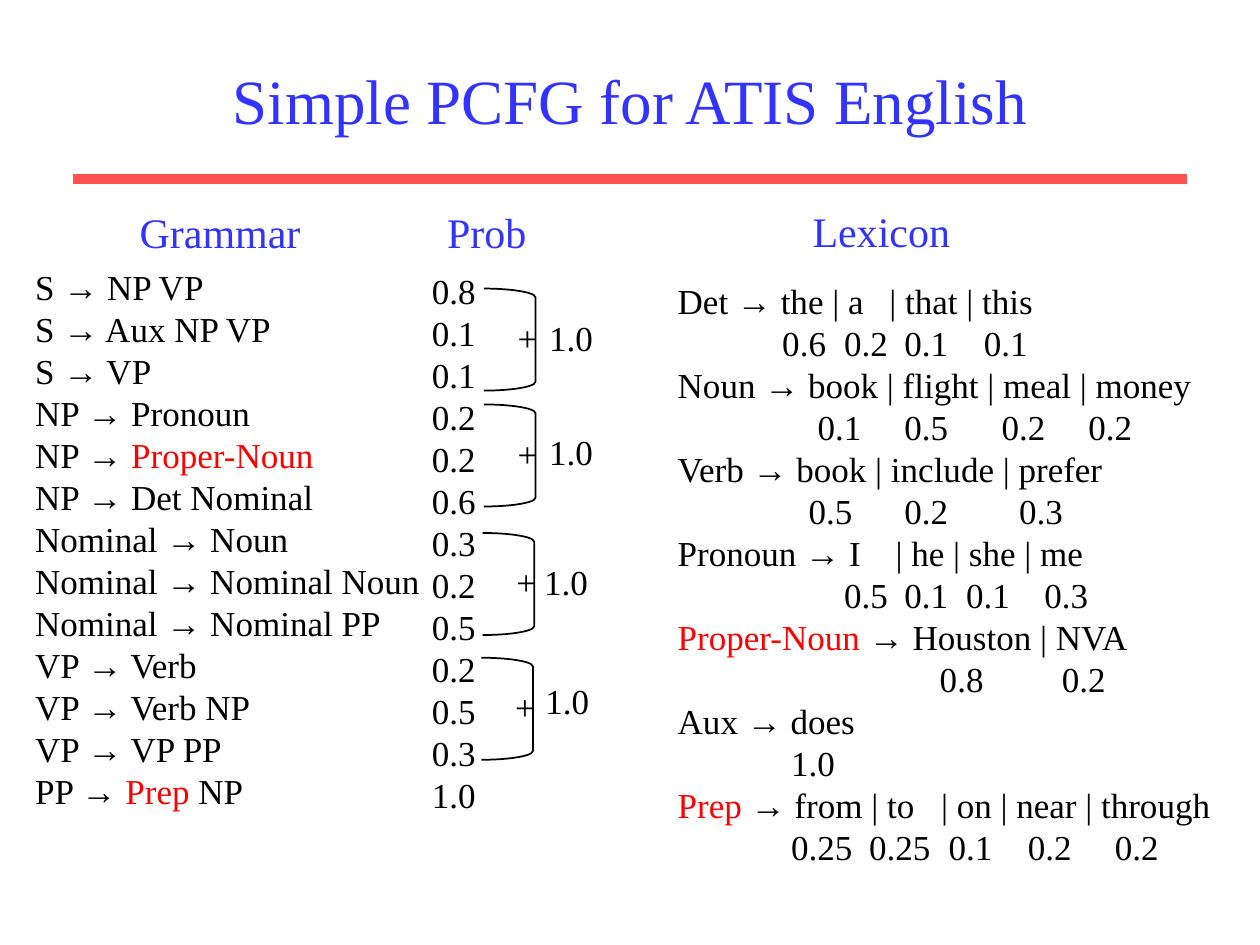
from lxml import etree
from pptx import Presentation, util as u
from pptx.dml.color import RGBColor
from pptx.enum import shapes, text
from pptx.oxml.ns import qn

BLUE = RGBColor(0x33, 0x33, 0xFF)
RED = RGBColor(0xFF, 0, 0)
CORAL = RGBColor(0xFF, 0x50, 0x50)
BLACK = RGBColor(0, 0, 0)
FONT = "Times New Roman"
WIDE, HIGH = 10, 7.5

# Each rule has its probability; red words stand between asterisks.
GRAMMAR = [
    ("S → NP VP", "0.8"),
    ("S → Aux NP VP", "0.1"),
    ("S → VP", "0.1"),
    ("NP → Pronoun", "0.2"),
    ("NP → *Proper-Noun*", "0.2"),
    ("NP → Det Nominal", "0.6"),
    ("Nominal → Noun", "0.3"),
    ("Nominal → Nominal Noun", "0.2"),
    ("Nominal → Nominal PP", "0.5"),
    ("VP → Verb", "0.2"),
    ("VP → Verb NP", "0.5"),
    ("VP → VP PP", "0.3"),
    ("PP → *Prep* NP", "1.0"),
]

# Each entry: rule, its tab stops, then the weight at each stop.
LEXICON = [
    ("Det → the | a\t| that | this", [1.68],
     {0.83: "0.6", 1.32: "0.2", 1.8: "0.1", 2.43: "0.1"}),
    ("Noun → book | flight | meal | money", [],
     {1.11: "0.1", 1.8: "0.5", 2.57: "0.2", 3.26: "0.2"}),
    ("Verb → book | include | prefer", [],
     {1.04: "0.5", 1.8: "0.2", 2.71: "0.3"}),
    ("Pronoun → I\t| he | she | me", [1.73],
     {1.32: "0.5", 1.8: "0.1", 2.29: "0.1", 2.91: "0.3"}),
    ("*Proper-Noun* → Houston | NVA", [],
     {2.08: "0.8", 3.05: "0.2"}),
    ("Aux → does", [], {0.9: "1.0"}),
    ("*Prep* → from | to\t| on | near | through", [2.09],
     {0.9: "0.25", 1.52: "0.25", 2.15: "0.1", 2.78: "0.2", 3.47: "0.2"}),
]

# Left and top of each bracket, then of its sum.
GROUPS = [
    (3.84, 2.29, 4.26, 2.46),
    (3.84, 3.21, 4.26, 3.37),
    (3.83, 4.23, 4.22, 4.4),
    (3.82, 5.22, 4.23, 5.34),
]


def place(shape, x, y, w, h):
    shape.left, shape.top = u.Inches(x), u.Inches(y)
    shape.width, shape.height = u.Inches(w), u.Inches(h)


def set_tabs(para, stops):
    tabs = etree.SubElement(para._p.get_or_add_pPr(), qn("a:tabLst"))
    for stop in stops:
        etree.SubElement(tabs, qn("a:tab"), pos=str(u.Inches(stop)), algn="l")


def write(frame, lines, size=20, color=BLACK, align=None, stops=None):
    """Fill a frame with one paragraph a line; *words* turn red."""
    for i, line in enumerate(lines):
        para = frame.paragraphs[0] if i == 0 else frame.add_paragraph()
        if stops and stops[i]:
            set_tabs(para, stops[i])
        para.line_spacing = u.Pt(size * 1.2)
        para.alignment = align
        for j, part in enumerate(line.split("*")):
            if part:
                run = para.add_run()
                run.text = part
                run.font.name, run.font.size = FONT, u.Pt(size)
                run.font.color.rgb = RED if j % 2 else color


def add_text(slide, lines, x, y, w, h, **form):
    box = slide.shapes.add_textbox(0, 0, 0, 0)
    place(box, x, y, w, h)
    box.text_frame.word_wrap = True
    write(box.text_frame, lines, **form)


def add_title(slide, words):
    title = slide.shapes.title
    place(title, 0.075 * WIDE, 0.25, 0.85 * WIDE, 1.08)
    title.text_frame.vertical_anchor = text.MSO_ANCHOR.MIDDLE
    write(title.text_frame, [words], size=36, color=BLUE,
          align=text.PP_ALIGN.CENTER)


def add_rule(slide, y, edge):
    rule = slide.shapes.add_connector(
        shapes.MSO_CONNECTOR.STRAIGHT, u.Inches(edge), u.Inches(y),
        u.Inches(WIDE - edge), u.Inches(y))
    rule.line.color.rgb = CORAL
    rule.line.width = u.Pt(6)
    etree.SubElement(rule._element.spPr, qn("a:effectLst"))


def add_brace(slide, x, y):
    brace = slide.shapes.add_shape(shapes.MSO_SHAPE.RIGHT_BRACKET, 0, 0, 0, 0)
    place(brace, x, y, 0.41, 0.81)
    brace.adjustments[0] = 0.17
    brace.shadow.inherit = False
    brace.fill.background()
    brace.line.color.rgb = BLACK
    brace.line.width = u.Pt(1)


def add_lexicon(slide):
    lines, stops = [], []
    for rule, marks, weights in LEXICON:
        lines += [rule, "".join("\t" + value for value in weights.values())]
        stops += [marks, list(weights)]
    add_text(slide, lines, 5.28, 2.17, 4.72, 4.77, stops=stops)


def main():
    deck = Presentation()
    deck.slide_width, deck.slide_height = u.Inches(WIDE), u.Inches(HIGH)
    slide = deck.slides.add_slide(deck.slide_layouts[5])
    add_rule(slide, 1.42, 0.58)
    add_title(slide, "Simple PCFG for ATIS English")

    for head, x, y, w in [("Grammar", 1.01, 1.59, 1.55),
                          ("Prob", 3.45, 1.59, 0.9),
                          ("Lexicon", 6.35, 1.58, 1.35)]:
        add_text(slide, [head], x, y, w, 0.5, size=24, color=BLUE)

    rules, probs = zip(*GRAMMAR)
    add_text(slide, rules, 0.18, 2.06, 3.41, 4.44)
    add_text(slide, probs, 3.33, 2.09, 0.58, 4.44)
    for x, y, sum_x, sum_y in GROUPS:
        add_brace(slide, x, y)
        add_text(slide, ["+"], x + 0.17, y + 0.17, 0.42, 0.44)
        add_text(slide, ["1.0"], sum_x, sum_y, 0.58, 0.44)
    add_lexicon(slide)
    deck.save("out.pptx")


if __name__ == "__main__":
    main()
